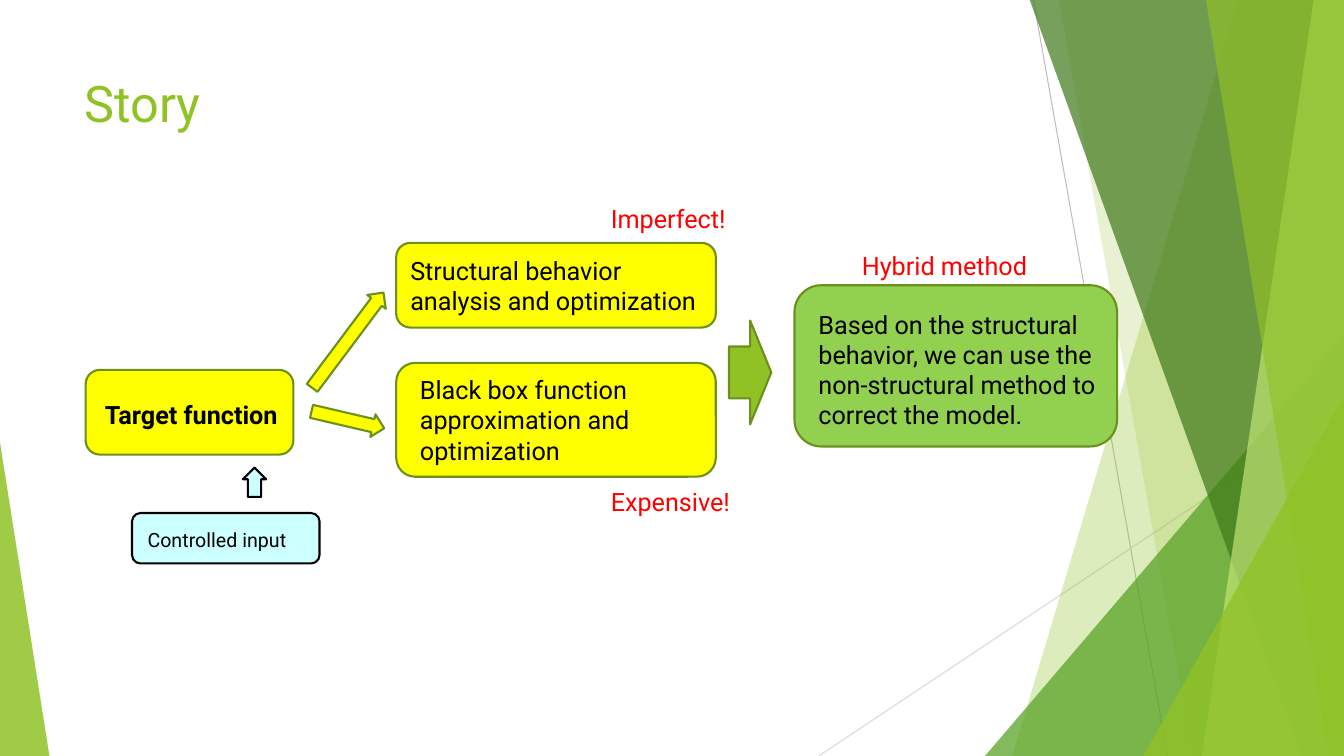
from dataclasses import dataclass

from lxml.etree import SubElement
from pptx import Presentation
from pptx.dml.color import RGBColor
from pptx.enum.shapes import MSO_CONNECTOR, MSO_SHAPE
from pptx.enum.text import MSO_ANCHOR, MSO_AUTO_SIZE, PP_ALIGN
from pptx.oxml.ns import qn
from pptx.util import Pt

PX = 9144  # EMU per px, 100 px to the inch
WIDTH, HEIGHT = 1333, 750
FONT = "Roboto"
COLORS = {
    "lime": "90C226", "leaf": "54A021", "forest": "3F7819", "pale": "C0E474",
    "olive": "6B901C", "yellow": "FFFF00", "green": "92D050", "cyan": "CCFFFF",
    "black": "000000", "red": "FF0000", "grey": "BFBFBF", "silver": "D9D9D9",
}


@dataclass(frozen=True)
class Ribbon:
    """Slanted panel reaching to the right edge of the slide."""
    top_x: int
    bottom_x: int
    color: str
    opacity: int


@dataclass(frozen=True)
class Wedge:
    """Triangle standing on the bottom edge of the slide."""
    left: int
    top: int
    width: int
    apex: int
    color: str
    opacity: int


@dataclass(frozen=True)
class Ray:
    start: tuple[int, int]
    end: tuple[int, int]
    color: str


@dataclass(frozen=True)
class Step:
    text: str
    box: tuple[int, int, int, int]
    insets: tuple[int, int, int]  # left, top, right
    fill: str = "yellow"
    line: str = "olive"
    size: int = 18
    bold: bool = False


@dataclass(frozen=True)
class Arrow:
    box: tuple[int, int, int, int]
    rotation: float = 0
    fill: str = "yellow"
    line: str = "olive"
    shaft: float = 0.574


@dataclass(frozen=True)
class Remark:
    text: str
    box: tuple[int, int, int, int]


RAYS = [
    Ray((1025, 0), (1158, HEIGHT), "grey"),
    Ray((WIDTH, 403), (812, HEIGHT), "silver"),
]
FACETS = [
    Ribbon(1228, 1004, "lime", 30),
    Ribbon(1050, 1183, "lime", 20),
    Wedge(977, 333, 356, 1, "leaf", 72),
    Ribbon(1021, 1291, "forest", 70),
    Ribbon(1303, 1192, "pale", 70),
    Ribbon(1196, 1318, "lime", 65),
    Wedge(1134, 393, 199, 1, "lime", 80),
    Wedge(0, 439, 49, 0, "lime", 85),
]
STEPS = [
    Step("Target function", (85, 367, 206, 84), (15, 4, 4), bold=True),
    Step("Controlled input", (131, 509, 186, 50), (13, 2, 13),
         fill="cyan", line="black", size=14),
    Step("Structural behavior analysis and optimization",
         (393, 241, 317, 84), (10, 1, 14)),
    Step("Black box function approximation and optimization",
         (393, 360, 317, 113), (18, 0, 19)),
    Step("Based on the structural behavior, we can use the non-structural "
         "method to correct the model.",
         (788, 283, 320, 160), (16, 7, 1), fill="green"),
]
ARROWS = [
    Arrow((238, 467, 29, 23), 270, fill="cyan", line="black"),
    Arrow((286, 326, 118, 23), 306.8),
    Arrow((308, 405, 74, 23), 13.1),
    Arrow((723, 318, 42, 103), fill="lime", shaft=0.5),
]
REMARKS = [
    Remark("Imperfect!", (596, 197, 147, 40)),
    Remark("Expensive!", (596, 478, 147, 40)),
    Remark("Hybrid method", (845, 243, 203, 40)),
]


def emu(*lengths: int) -> list[int]:
    return [length * PX for length in lengths]


def rgb(name: str) -> RGBColor:
    return RGBColor.from_string(COLORS[name])


def write(shape, text: str, *, size: int = 18, color: str = "black",
          bold: bool = False, insets: tuple[int, int, int] = (10, 5, 10),
          bottom: int = 5, anchor=MSO_ANCHOR.TOP) -> None:
    frame = shape.text_frame
    frame.word_wrap = True
    frame.auto_size = MSO_AUTO_SIZE.NONE
    frame.vertical_anchor = anchor
    frame.margin_left, frame.margin_top, frame.margin_right = emu(*insets)
    frame.margin_bottom = bottom * PX
    paragraph = frame.paragraphs[0]
    paragraph.alignment = PP_ALIGN.LEFT
    run = paragraph.add_run()
    run.text = text
    run.font.name, run.font.size, run.font.bold = FONT, Pt(size), bold
    run.font.color.rgb = rgb(color)


def paint(shape, fill: str, line: str | None = None, opacity: int = 100) -> None:
    shape.shadow.inherit = False
    shape.fill.solid()
    shape.fill.fore_color.rgb = rgb(fill)
    if opacity < 100:
        color = shape.fill._xPr.find(f"{qn('a:solidFill')}/{qn('a:srgbClr')}")
        SubElement(color, qn("a:alpha"), val=str(opacity * 1000))
    if line is None:
        shape.line.fill.background()
    else:
        shape.line.color.rgb = rgb(line)
        shape.line.width = Pt(1.5)


def draw_ray(shapes, ray: Ray) -> None:
    line = shapes.add_connector(MSO_CONNECTOR.STRAIGHT, *emu(*ray.start, *ray.end))
    line.line.color.rgb = rgb(ray.color)
    line.line.width = Pt(0.75)
    SubElement(line._element.spPr, qn("a:effectLst"))


def draw_facet(shapes, facet: Ribbon | Wedge) -> None:
    if isinstance(facet, Ribbon):
        outline = shapes.build_freeform(facet.top_x, -1, scale=PX)
        outline.add_line_segments(
            [(WIDTH, -1), (WIDTH, HEIGHT), (facet.bottom_x, HEIGHT)], close=True)
        shape = outline.convert_to_shape()
    else:
        shape = shapes.add_shape(
            MSO_SHAPE.ISOSCELES_TRIANGLE,
            *emu(facet.left, facet.top, facet.width, HEIGHT - facet.top))
        shape.adjustments[0] = facet.apex
    paint(shape, facet.color, opacity=facet.opacity)


def draw_step(shapes, step: Step) -> None:
    shape = shapes.add_shape(MSO_SHAPE.ROUNDED_RECTANGLE, *emu(*step.box))
    paint(shape, step.fill, step.line)
    write(shape, step.text, size=step.size, bold=step.bold, insets=step.insets,
          bottom=0, anchor=MSO_ANCHOR.MIDDLE)


def draw_arrow(shapes, arrow: Arrow) -> None:
    shape = shapes.add_shape(MSO_SHAPE.RIGHT_ARROW, *emu(*arrow.box))
    shape.adjustments[0] = arrow.shaft
    shape.rotation = arrow.rotation
    paint(shape, arrow.fill, arrow.line)


def main() -> None:
    deck = Presentation()
    deck.slide_width, deck.slide_height = emu(WIDTH, HEIGHT)
    slide = deck.slides.add_slide(deck.slide_layouts[5])
    shapes = slide.shapes

    # Backdrop
    for ray in RAYS:
        draw_ray(shapes, ray)
    for facet in FACETS:
        draw_facet(shapes, facet)

    # Title, in front of the backdrop
    title = shapes.title
    title.left, title.top, title.width, title.height = emu(74, 67, 940, 144)
    write(title, "Story", size=36, color="lime")
    shapes._spTree.append(title._element)

    # Flow from the target function to the hybrid method
    for step in STEPS:
        draw_step(shapes, step)
    for arrow in ARROWS:
        draw_arrow(shapes, arrow)
    for remark in REMARKS:
        write(shapes.add_textbox(*emu(*remark.box)), remark.text, color="red")

    deck.save("out.pptx")


if __name__ == "__main__":
    main()
